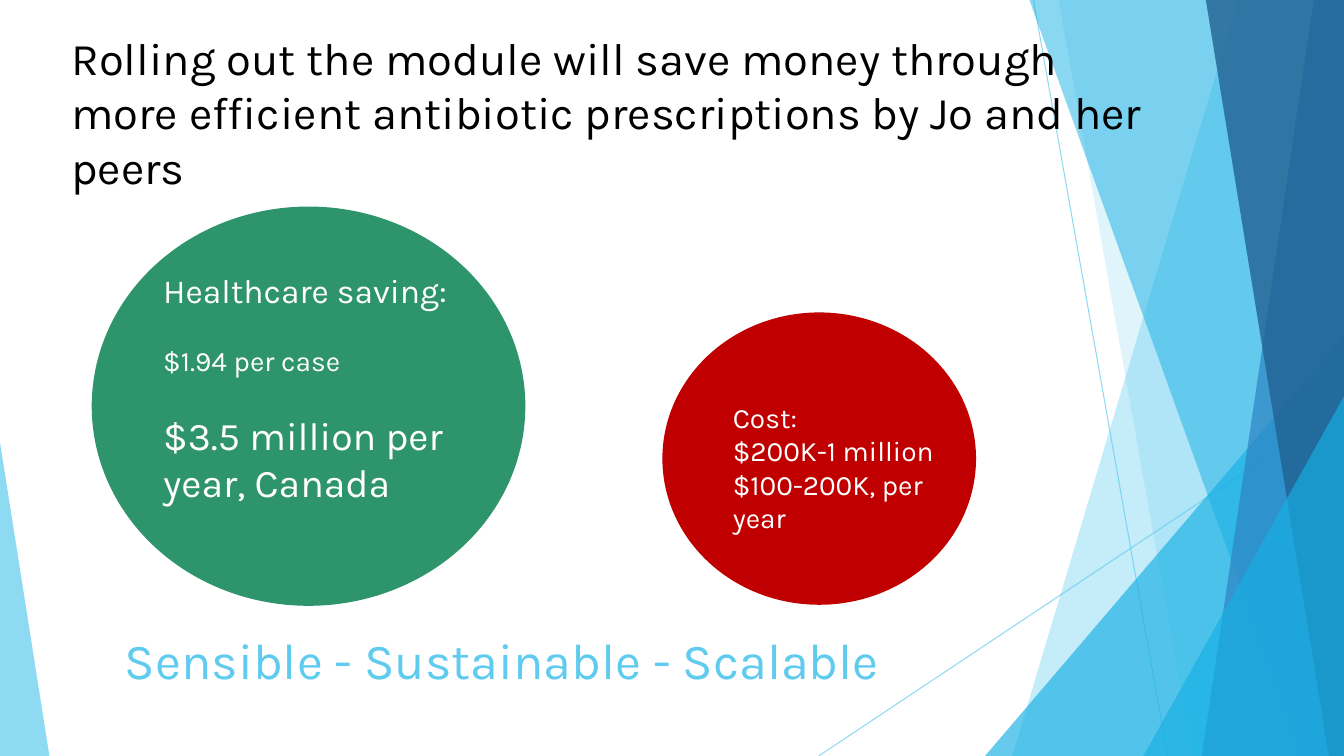
"""Build the slide that weighs healthcare savings against the cost of the module."""
from lxml import etree
from pptx import Presentation
from pptx import util as u
from pptx.dml.color import RGBColor
from pptx.enum import shapes, text
from pptx.oxml.ns import qn

WIDTH, HEIGHT = 13.33, 7.5
FONT = "Karla"
SKY, AZURE, BLUE, NAVY = "5FCBEF", "17B0E4", "2E83C3", "226292"
GREEN, RED, WHITE, BLACK = "2E946B", "C00000", "FFFFFF", "000000"

TITLE = ("Rolling out the module will save money through\v"
         "more efficient antibiotic prescriptions by Jo and her peers")
SLOGAN = "Sensible - Sustainable - Scalable"
SAVING = [("Healthcare saving:", 24), ("$1.94 per case", 20),
          ("$3.5 million per year, Canada", 28)]
COST = [("Cost:", 20), ("$200K-1 million", 20), ("$100-200K, per year", 20)]

BUBBLES = [
    ((0.92, 2.06, 4.28, 3.94), GREEN, (1.52, 2.63, 3.08, 2.76), SAVING, 24),
    ((6.58, 3.11, 3.09, 2.88), RED, (7.17, 3.92, 2.4, 1.45), COST, 0),
]
RAYS = [((10.25, 0), (11.58, HEIGHT)), ((WIDTH, 4.03), (8.12, HEIGHT))]
DECOR = [
    ("band", 12.28, 10.04, SKY, 36),
    ("band", 10.5, 11.83, SKY, 20),
    ("right corner", 3.56, 4.17, AZURE, 66),
    ("band", 10.21, 12.91, AZURE, 50),
    ("band", 13.03, 11.92, BLUE, 70),
    ("band", 11.96, 13.18, NAVY, 80),
    ("right corner", 1.99, 3.57, AZURE, 66),
    ("left corner", 0.49, 3.11, SKY, 70),
]


def inches(values):
    return [u.Inches(value) for value in values]


def paint(fill, color, opacity=100):
    fill.solid()
    fill.fore_color.rgb = RGBColor.from_string(color)
    if opacity < 100:
        tint = fill._xPr.find(".//" + qn("a:srgbClr"))
        etree.SubElement(tint, qn("a:alpha"), val=str(opacity * 1000))


def add_text(slide, frame, lines, color=WHITE, gap=0):
    words = slide.shapes.add_textbox(*inches(frame)).text_frame
    words.word_wrap = True
    words.vertical_anchor = text.MSO_ANCHOR.TOP
    for index, (line, size) in enumerate(lines):
        paragraph = words.paragraphs[0] if index == 0 else words.add_paragraph()
        paragraph.text = line
        paragraph.space_before = u.Pt(gap if index else 0)
        for run in paragraph.runs:
            run.font.name, run.font.size = FONT, u.Pt(size)
            run.font.color.rgb = RGBColor.from_string(color)


def add_ray(slide, start, end):
    ray = slide.shapes.add_connector(
        shapes.MSO_CONNECTOR.STRAIGHT, *inches(start + end))
    ray.line.width = u.Pt(0.75)
    paint(ray.line.fill, SKY, 70)
    etree.SubElement(ray._element.spPr, qn("a:effectLst"))


def add_band(slide, top_left, bottom_left):
    corners = [inches(corner) for corner in (
        (top_left, 0), (WIDTH, 0), (WIDTH, HEIGHT), (bottom_left, HEIGHT))]
    builder = slide.shapes.build_freeform(*corners[0], scale=1.0)
    builder.add_line_segments(corners[1:], close=True)
    return builder.convert_to_shape()


def add_corner(slide, side, width, height):
    left = WIDTH - width if side == "right" else 0
    corner = slide.shapes.add_shape(
        shapes.MSO_SHAPE.ISOSCELES_TRIANGLE,
        *inches((left, HEIGHT - height, width, height)))
    corner.adjustments[0] = 1 if side == "right" else 0
    return corner


def add_decor(slide):
    for start, end in RAYS:
        add_ray(slide, start, end)
    for kind, first, second, color, opacity in DECOR:
        if kind == "band":
            facet = add_band(slide, first, second)
        else:
            facet = add_corner(slide, kind.split()[0], first, second)
        facet.shadow.inherit = False
        facet.line.fill.background()
        paint(facet.fill, color, opacity)


def main():
    deck = Presentation()
    deck.slide_width, deck.slide_height = inches((WIDTH, HEIGHT))
    slide = deck.slides.add_slide(deck.slide_layouts[6])
    add_decor(slide)
    for circle, color, frame, lines, gap in BUBBLES:
        bubble = slide.shapes.add_shape(shapes.MSO_SHAPE.OVAL, *inches(circle))
        bubble.shadow.inherit = False
        paint(bubble.fill, color)
        paint(bubble.line.fill, color)
        bubble.line.width = u.Pt(1.5)
        add_text(slide, frame, lines, gap=gap)
    add_text(slide, (1.14, 6.19, 8.81, 0.76), [(SLOGAN, 36)], SKY)
    add_text(slide, (0.61, 0.25, 11.02, 1.26), [(TITLE, 32.4)], BLACK)
    deck.save("out.pptx")


if __name__ == "__main__":
    main()
